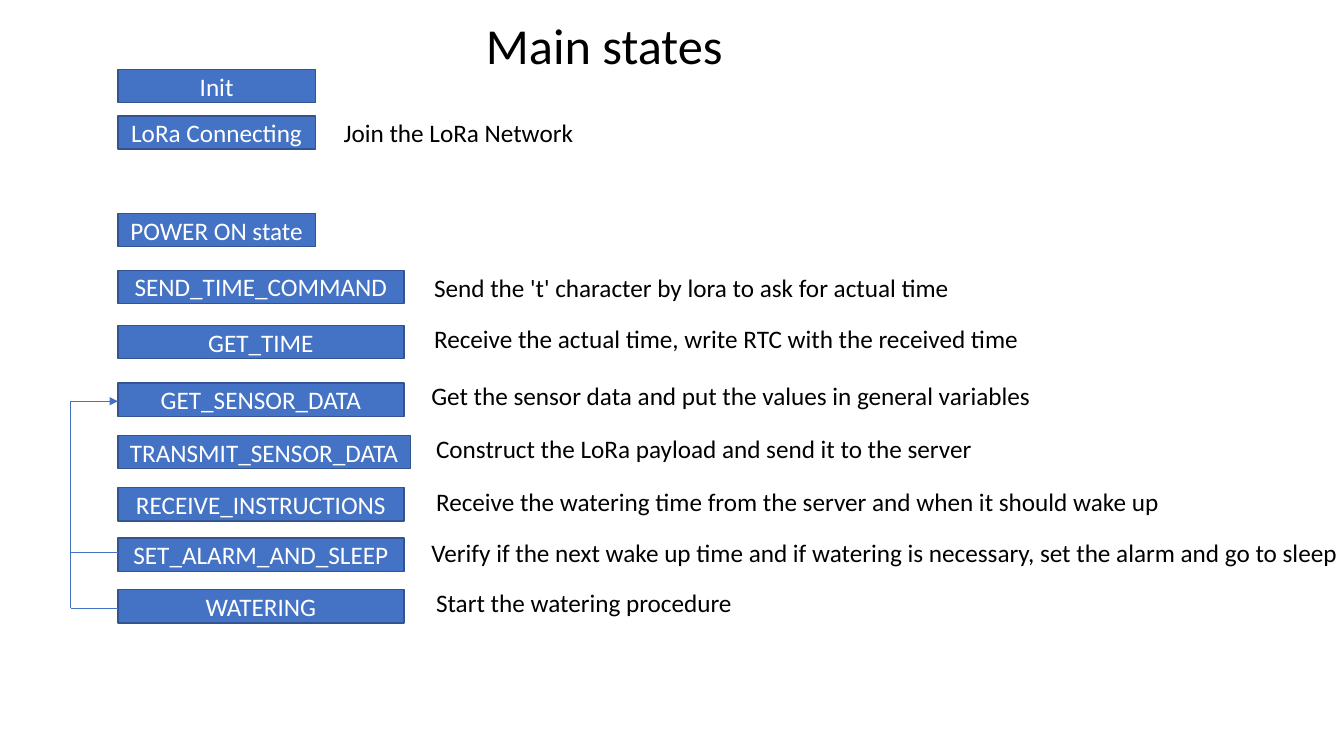
import pptx
import pptx.util
import pptx.dml.color
import pptx.enum.shapes
import pptx.enum.text
import pptx.oxml.ns
import lxml.etree

Cm, Pt = pptx.util.Cm, pptx.util.Pt
Align = pptx.enum.text.PP_ALIGN
Anchor = pptx.enum.text.MSO_ANCHOR
Fit = pptx.enum.text.MSO_AUTO_SIZE
COLORS = {"box": "4472C4", "edge": "325491", "ink": "000000", "light": "FFFFFF"}
LEFT, HIGH, LOOP = 2.97, 0.84, 1.78
SHORT, WIDE, LONG = 4.98, 7.21, 7.37

# state, top, width, note (left, top, width, text)
STATES = [
    ("Init", 1.75, SHORT, None),
    ("LoRa Connecting", 2.92, SHORT, (8.41, 2.82, 6.38, "Join the LoRa Network")),
    ("POWER ON state", 5.38, SHORT, None),
    ("SEND_TIME_COMMAND", 6.81, WIDE,
     (10.69, 6.73, 13.64, "Send the 't' character by lora to ask for actual time")),
    ("GET_TIME", 8.2, WIDE,
     (10.69, 8.03, 15.42, "Receive the actual time, write RTC with the received time")),
    ("GET_SENSOR_DATA", 9.65, WIDE,
     (10.62, 9.47, 15.8, "Get the sensor data and put the values in general variables")),
    ("TRANSMIT_SENSOR_DATA", 10.97, LONG,
     (10.74, 10.8, 14.17, "Construct the LoRa payload and send it to the server")),
    ("RECEIVE_INSTRUCTIONS", 12.29, WIDE,
     (10.74, 12.14, 18.97,
      "Receive the watering time from the server and when it should wake up")),
    ("SET_ALARM_AND_SLEEP", 13.56, WIDE,
     (10.62, 13.41, 23.65, "Verify if the next wake up time and if watering is necessary, "
      "set the alarm and go to sleep")),
    ("WATERING", 14.86, WIDE, (10.74, 14.68, 8.05, "Start the watering procedure")),
]


def color(name):
    """Return the named colour."""
    return pptx.dml.color.RGBColor.from_string(COLORS[name])


def write(frame, text, size=18, ink="ink", align=Align.LEFT, anchor=Anchor.TOP,
          wrap=False, fit=Fit.SHAPE_TO_FIT_TEXT):
    """Put formatted text in a frame."""
    frame.text = text
    frame.word_wrap, frame.auto_size = wrap, fit
    frame.vertical_anchor = anchor
    part = frame.paragraphs[0]
    part.alignment = align
    font = part.runs[0].font
    font.name, font.size = "Calibri", Pt(size)
    font.color.rgb = color(ink)


class Deck:
    """Holds the style and the current slide."""

    def __init__(self):
        """Open a wide deck with one title slide."""
        self.file = pptx.Presentation()
        self.file.slide_width, self.file.slide_height = Cm(33.87), Cm(19.05)
        self.slide = self.file.slides.add_slide(self.file.slide_layouts[5])
        self.shapes = self.slide.shapes

    def title(self, text, x, y, w, h):
        """Place the title."""
        head = self.shapes.title
        head.left, head.top, head.width, head.height = Cm(x), Cm(y), Cm(w), Cm(h)
        write(head.text_frame, text, size=36)

    def state(self, text, y, w):
        """Draw a state box."""
        box = self.shapes.add_shape(pptx.enum.shapes.MSO_SHAPE.RECTANGLE,
                                    Cm(LEFT), Cm(y), Cm(w), Cm(HIGH))
        box.shadow.inherit = False
        box.fill.solid()
        box.fill.fore_color.rgb = color("box")
        box.line.color.rgb = color("edge")
        box.line.width = Pt(1)
        write(box.text_frame, text, ink="light", align=Align.CENTER,
              anchor=Anchor.MIDDLE, wrap=True, fit=Fit.NONE)

    def note(self, x, y, w, text):
        """Add a note beside a state."""
        box = self.shapes.add_textbox(Cm(x), Cm(y), Cm(w), Cm(1.03))
        write(box.text_frame, text)

    def line(self, x1, y1, x2, y2, arrow=False):
        """Draw a thin line, with an arrowhead at its end if asked."""
        link = self.shapes.add_connector(pptx.enum.shapes.MSO_CONNECTOR.STRAIGHT,
                                         Cm(x1), Cm(y1), Cm(x2), Cm(y2))
        link.line.color.rgb = color("box")
        link.line.width = Pt(0.5)
        tag = pptx.oxml.ns.qn
        if arrow:
            lxml.etree.SubElement(link.line._get_or_add_ln(), tag("a:tailEnd"),
                                  type="triangle")
        lxml.etree.SubElement(link._element.spPr, tag("a:effectLst"))


def main():
    """Build the slide and save it."""
    deck = Deck()
    deck.title("Main states", 11.99, 0.23, 6.53, 1.8)
    for name, top, width, note in STATES:
        deck.state(name, top, width)
        if note:
            deck.note(*note)
    sense, sleep, water = 10.11, 13.92, 15.32
    for y in (sleep, water):
        deck.line(LEFT, y, LOOP, y)
    deck.line(LOOP, water, LOOP, sense)
    deck.line(LOOP, sense, LEFT, sense, arrow=True)
    deck.file.save("out.pptx")


main()
